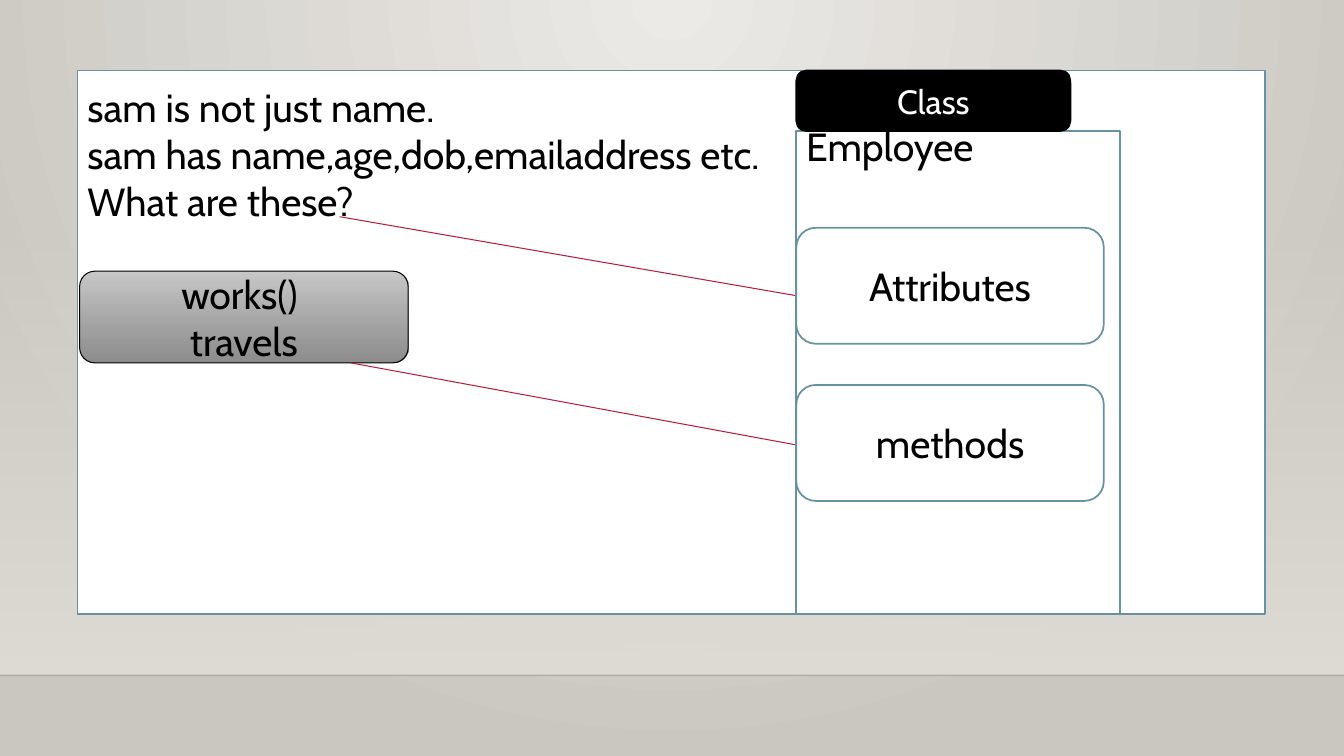
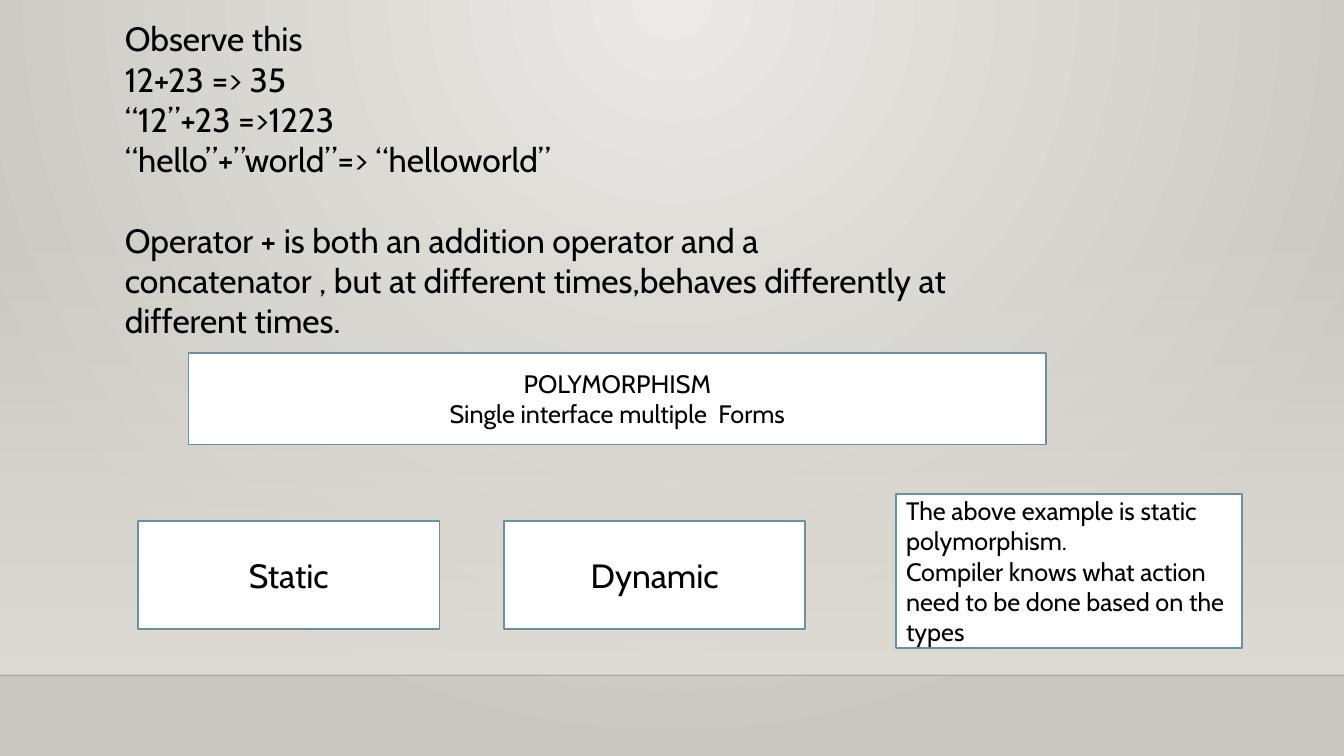
import pptx
import pptx.dml.color
import pptx.enum.shapes
import pptx.enum.text
import pptx.oxml
import pptx.oxml.ns
import pptx.util
from dataclasses import dataclass

Pt = pptx.util.Pt
qn = pptx.oxml.ns.qn
SHAPE = pptx.enum.shapes.MSO_SHAPE
ANCHOR = pptx.enum.text.MSO_ANCHOR
ALIGN = pptx.enum.text.PP_ALIGN
NAMESPACE = pptx.oxml.ns.nsdecls("a")


@dataclass(frozen=True)
class Theme:
    font: str = "Cabin"
    ink: str = "000000"
    paper: str = "FFFFFF"
    outline: str = "6892A0"
    arrow: str = "B71E42"
    floor: str = "000001"
    large: int = 28
    medium: int = 24
    small: int = 18
    edge: float = 1.25
    thin: float = 0.75
    backdrop: tuple = (("ECEAE7", 100), ("CAC7C1", 100))
    haze: tuple = (("DFDBD5", 0), ("DFDBD5", 100))
    steel: tuple = (("C8C8C8", 100), ("848484", 92))


THEME = Theme()
WIDTH, HEIGHT = 960, 540
FLOOR_TOP = 482.4
HAZE_TOP = 159.1

DOWNWARD = '<a:lin ang="5400000" scaled="0"/>'
FROM_TOP_CENTRE = ('<a:path path="circle">'
                   '<a:fillToRect l="43000" t="0" r="43000" b="100000"/></a:path>')

SAM_PANEL = (55.4, 50.4, 848.2, 388.1)
SAM_NOTES = ["sam is not just name.",
             "sam has name,age,dob,emailaddress etc.",
             "What are these?"]
ACTIONS_BOX = (56.9, 193.7, 234.7, 65.5)
ACTIONS = ["works() ", "travels"]
CLASS_LEFT = 568.8
CLASS_TAG = (CLASS_LEFT, 50.4, 195.8, 43.2)
CLASS_PANEL = (CLASS_LEFT, 93.6, 231.1, 344.9)
CLASS_NAME = (CLASS_LEFT, 87.6, 231.1, 33.6)
MEMBERS = ["Attributes", "methods"]
MEMBER_TOP, MEMBER_STEP = 162.7, 112.3
MEMBER_SIZE = (219.6, 82.8)
ARROWS = [(250.6, 259.2, 606.2, 324.7), (242.6, 154.8, 621.4, 220.3)]

OBSERVATIONS = ["Observe this", "12+23 => 35", "“12”+23 =>1223",
                "“hello”+”world”=> “helloworld”",
                "Operator + is both an addition operator and a concatenator , "
                "but at different times,behaves differently at different times."]
OBSERVATIONS_BOX = (82.1, 9.4, 604.1, 269.3)
PARAGRAPH_GAP = 28.8
POLYMORPHISM = ["POLYMORPHISM", "Single interface multiple  Forms"]
POLYMORPHISM_BOX = (134.6, 252, 612.7, 65.5)
KINDS = ["Static", "Dynamic"]
KIND_LEFT, KIND_STEP, KIND_TOP = 98.6, 261.4, 372.2
KIND_SIZE = (215.3, 77)
EXPLANATION = ["The above example is static polymorphism.",
               "Compiler knows what action need to be done based on the types"]
EXPLANATION_BOX = (640.1, 352.8, 247, 110.2)


def rgb(value):
    return pptx.dml.color.RGBColor.from_string(value)


def paint_gradient(fill, owner, colours, direction):
    fill.gradient()
    stops = "".join(
        f'<a:gs pos="{position}"><a:srgbClr val="{colour}">'
        f'<a:alpha val="{opacity * 1000}"/></a:srgbClr></a:gs>'
        for position, (colour, opacity) in zip((0, 100000), colours))
    gradient = pptx.oxml.parse_xml(
        f'<a:gradFill {NAMESPACE} rotWithShape="1"><a:gsLst>{stops}</a:gsLst>'
        f'{direction}</a:gradFill>')
    blank = owner.find(".//" + qn("a:gradFill"))
    blank.getparent().replace(blank, gradient)


def write(frame, lines, size, align=ALIGN.LEFT, anchor=ANCHOR.MIDDLE, colour=THEME.ink):
    frame.word_wrap = True
    frame.vertical_anchor = anchor
    frame.text = "\n".join(lines)
    for paragraph in frame.paragraphs:
        paragraph.alignment = align
        paragraph.font.name = THEME.font
        paragraph.font.size = Pt(size)
        paragraph.font.color.rgb = rgb(colour)


def add_box(slide, box, kind=SHAPE.RECTANGLE, fill=THEME.paper,
            line=THEME.outline, width=THEME.edge):
    shape = slide.shapes.add_shape(kind, *map(Pt, box))
    shape.shadow.inherit = False
    if isinstance(fill, tuple):
        paint_gradient(shape.fill, shape.element, fill, DOWNWARD)
    else:
        shape.fill.solid()
        shape.fill.fore_color.rgb = rgb(fill)
    if line:
        shape.line.color.rgb = rgb(line)
        shape.line.width = Pt(width)
    else:
        shape.line.fill.background()
    return shape


def add_line(slide, ends, colour, width):
    connector = slide.shapes.add_connector(
        pptx.enum.shapes.MSO_CONNECTOR.STRAIGHT, *map(Pt, ends))
    connector.line.color.rgb = rgb(colour)
    connector.line.width = Pt(width)
    connector.element.spPr.append(pptx.oxml.parse_xml(f"<a:effectLst {NAMESPACE}/>"))
    return connector


def add_text(slide, box, lines, size):
    frame = slide.shapes.add_textbox(*map(Pt, box)).text_frame
    write(frame, lines, size, anchor=ANCHOR.TOP)
    return frame


def dress_layout(layout, slide):
    for placeholder in list(layout.placeholders):
        placeholder.element.getparent().remove(placeholder.element)
    paint_gradient(layout.background.fill, layout.element, THEME.backdrop, FROM_TOP_CENTRE)
    haze = add_box(slide, (0, HAZE_TOP, WIDTH, FLOOR_TOP - HAZE_TOP),
                   fill=THEME.haze, line=None)
    floor = add_line(slide, (0, FLOOR_TOP, WIDTH, FLOOR_TOP), THEME.floor, 1)
    floor.element.find(".//" + qn("a:srgbClr")).append(
        pptx.oxml.parse_xml(f'<a:alpha {NAMESPACE} val="20000"/>'))
    for part in (haze, floor):
        layout.shapes.element.append(part.element)


def build_class_slide(slide):
    panel = add_box(slide, SAM_PANEL)
    write(panel.text_frame, SAM_NOTES, THEME.large, anchor=ANCHOR.TOP)
    panel.text_frame.margin_top = Pt(9)
    actions = add_box(slide, ACTIONS_BOX, SHAPE.ROUNDED_RECTANGLE,
                      THEME.steel, THEME.ink, THEME.thin)
    write(actions.text_frame, ACTIONS, THEME.large, ALIGN.CENTER)
    for ends in ARROWS:
        arrow = add_line(slide, ends, THEME.arrow, THEME.thin)
        arrow.element.find(".//" + qn("a:ln")).append(
            pptx.oxml.parse_xml(f'<a:tailEnd {NAMESPACE} type="triangle"/>'))
    add_box(slide, CLASS_PANEL)
    add_text(slide, CLASS_NAME, ["Employee"], THEME.large).margin_top = 0
    for row, member in enumerate(MEMBERS):
        box = (CLASS_LEFT, MEMBER_TOP + row * MEMBER_STEP, *MEMBER_SIZE)
        write(add_box(slide, box, SHAPE.ROUNDED_RECTANGLE).text_frame,
              [member], THEME.large, ALIGN.CENTER)
    tag = add_box(slide, CLASS_TAG, SHAPE.ROUNDED_RECTANGLE, THEME.ink, THEME.ink)
    write(tag.text_frame, ["Class"], THEME.medium, ALIGN.CENTER, colour=THEME.paper)


def build_polymorphism_slide(slide):
    observations = add_text(slide, OBSERVATIONS_BOX, OBSERVATIONS, THEME.medium)
    observations.paragraphs[-1].space_before = Pt(PARAGRAPH_GAP)
    write(add_box(slide, POLYMORPHISM_BOX).text_frame,
          POLYMORPHISM, THEME.small, ALIGN.CENTER)
    for column, kind in enumerate(KINDS):
        box = (KIND_LEFT + column * KIND_STEP, KIND_TOP, *KIND_SIZE)
        write(add_box(slide, box).text_frame, [kind], THEME.medium, ALIGN.CENTER)
    write(add_box(slide, EXPLANATION_BOX).text_frame, EXPLANATION, THEME.small)


def main():
    deck = pptx.Presentation()
    deck.slide_width, deck.slide_height = Pt(WIDTH), Pt(HEIGHT)
    layout = deck.slide_layouts[6]
    class_slide, polymorphism_slide = (deck.slides.add_slide(layout) for _ in range(2))
    dress_layout(layout, class_slide)
    build_class_slide(class_slide)
    build_polymorphism_slide(polymorphism_slide)
    deck.save("out.pptx")


if __name__ == "__main__":
    main()
